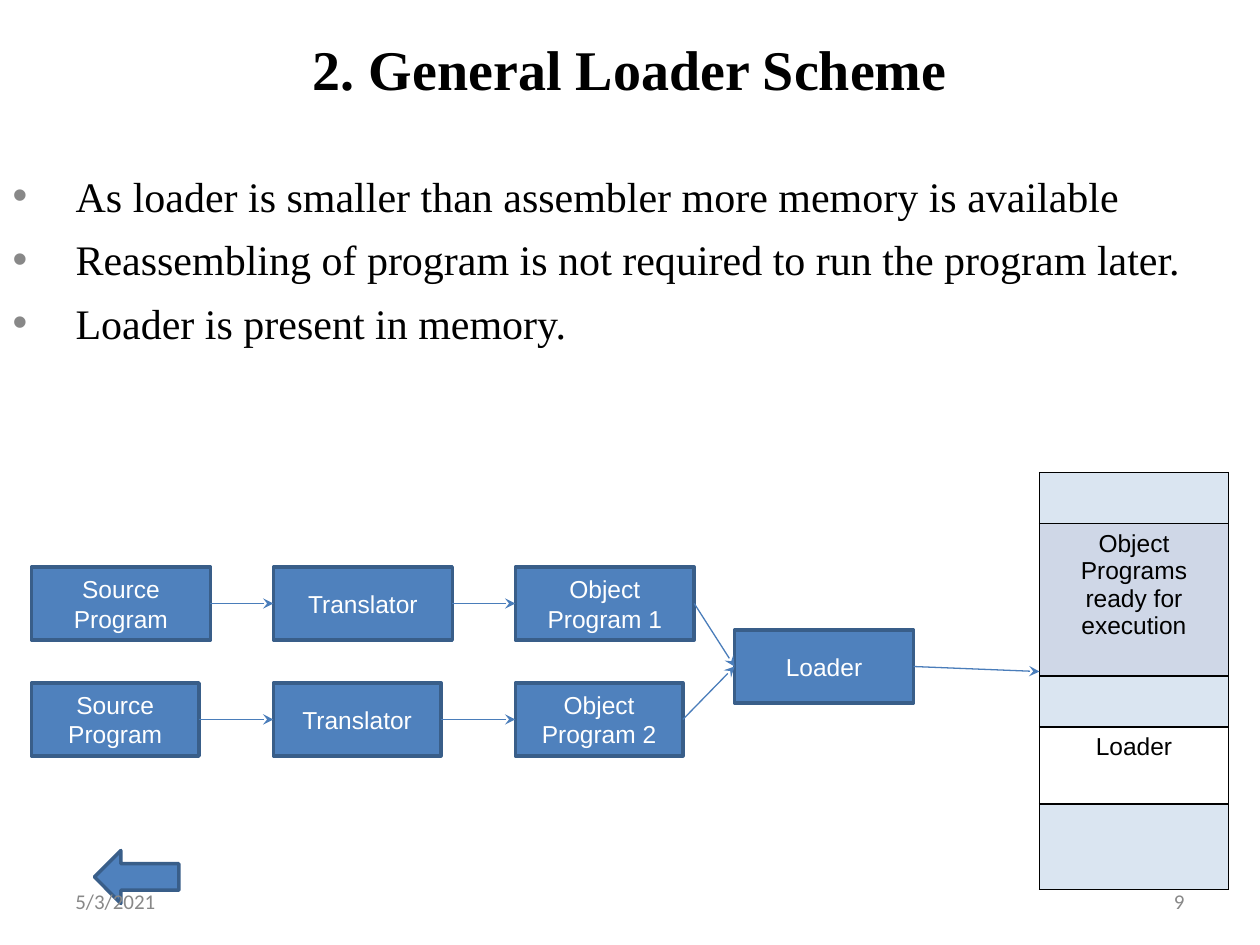
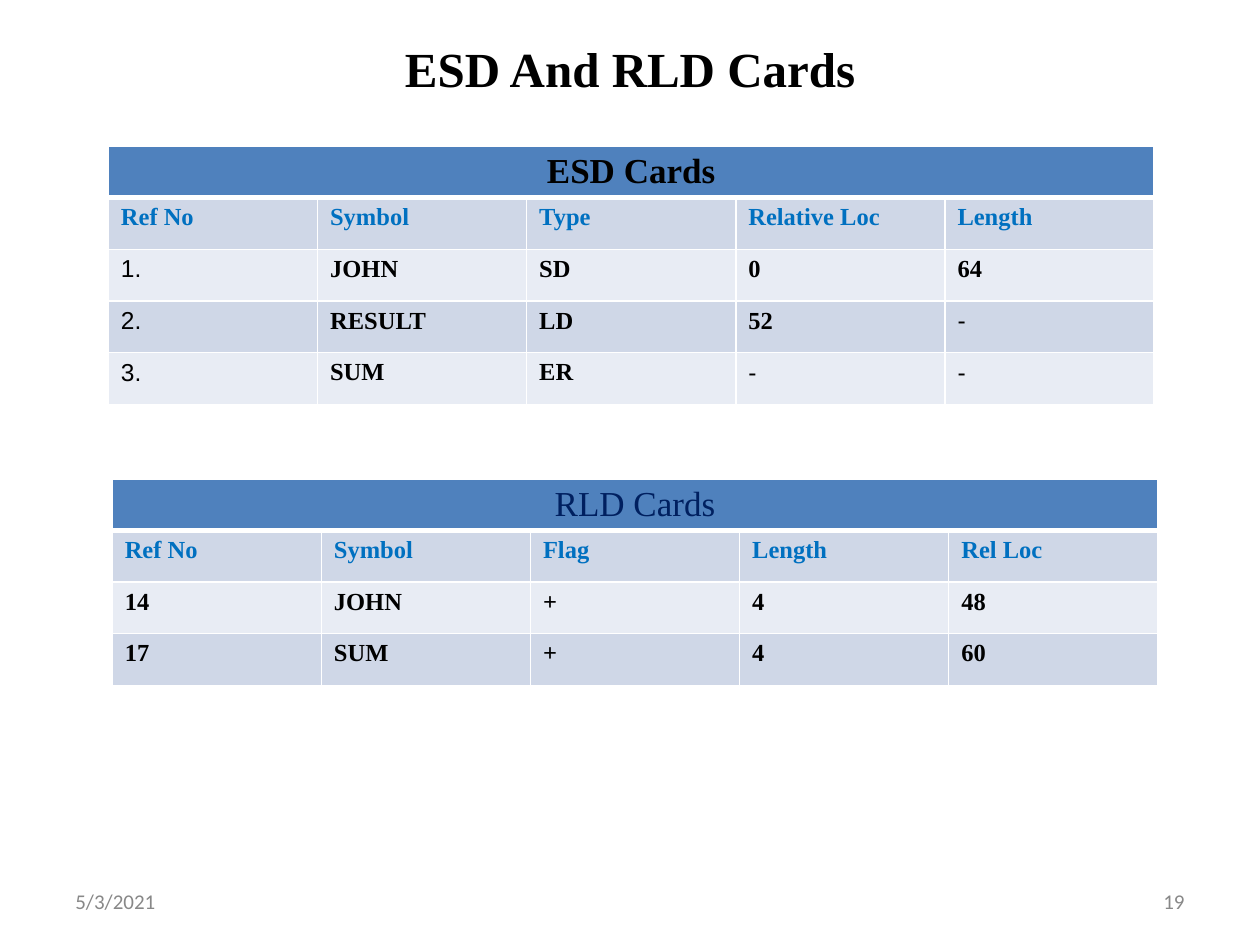
from dataclasses import dataclass
from lxml import etree
from pptx import Presentation
from pptx import util as u
from pptx.dml.color import RGBColor
from pptx.enum import shapes, text
from pptx.oxml import ns

MID = text.MSO_ANCHOR.MIDDLE
LEFT, MIDDLE, RIGHT = text.PP_ALIGN.LEFT, text.PP_ALIGN.CENTER, text.PP_ALIGN.RIGHT


@dataclass
class Theme:
    serif: str = "Times New Roman"
    sans: str = "Arial"
    small: str = "Calibri"
    black: str = "000000"
    white: str = "FFFFFF"
    blue: str = "4F81BD"
    edge: str = "395E89"
    wire: str = "4A7DBA"
    grey: str = "888888"
    label: str = "0070C0"
    navy: str = "002060"
    sky: str = "DAE5F1"
    band: str = "CFD7E7"
    pale: str = "E8ECF4"
    list_size: int = 24
    head_size: int = 20
    text_size: int = 14
    foot_size: int = 12


def add(parent, tag, **attrs):
    return etree.SubElement(parent, ns.qn(tag), attrs)


def place(shape, left, top, width, height):
    shape.left, shape.top = u.Inches(left), u.Inches(top)
    shape.width, shape.height = u.Inches(width), u.Inches(height)


class Deck:
    def __init__(self, theme):
        self.theme = theme
        self.prs = Presentation()
        self.prs.slide_width, self.prs.slide_height = u.Inches(10), u.Inches(7.5)
        self.slide = None

    def style(self, para, size, face, color, bold=False, align=LEFT):
        para.alignment = align
        font = para.font
        font.size, font.name, font.bold = u.Pt(size), face, bold
        font.color.rgb = RGBColor.from_string(color)

    def start(self, title, size, items=()):
        t = self.theme
        self.slide = self.prs.slides.add_slide(self.prs.slide_layouts[0])
        head, body = self.slide.placeholders
        place(head, 0.75, 0.25, 8.5, 0.58)
        head.text_frame.text = title
        head.text_frame.vertical_anchor = MID
        self.style(head.text_frame.paragraphs[0], size, t.serif, t.black, True, MIDDLE)
        if items:
            self.bullets(body, items)
        else:
            body.element.getparent().remove(body.element)

    def bullets(self, body, items):
        t = self.theme
        place(body, 0, 1.3, 10, 2)
        frame = body.text_frame
        frame.auto_size = text.MSO_AUTO_SIZE.NONE
        frame.text = "\n".join(items)
        for i, para in enumerate(frame.paragraphs):
            para.space_before = u.Pt(7.5 if i else 0)
            props = para._p.get_or_add_pPr()
            props.set("marL", str(u.Inches(0.5)))
            props.set("indent", str(u.Inches(-0.5)))
            add(add(props, "a:buClr"), "a:srgbClr", val=t.grey)
            add(props, "a:buFont", typeface=t.sans)
            add(props, "a:buChar", char="•")
            self.style(para, t.list_size, t.serif, t.black)

    def shape(self, kind, left, top, width, height, label=""):
        t = self.theme
        shape = self.slide.shapes.add_shape(
            kind, *map(u.Inches, (left, top, width, height)))
        shape.shadow.inherit = False
        shape.fill.solid()
        shape.fill.fore_color.rgb = RGBColor.from_string(t.blue)
        shape.line.color.rgb = RGBColor.from_string(t.edge)
        shape.line.width = u.Pt(2)
        if label:
            frame = shape.text_frame
            frame.text, frame.vertical_anchor = label, MID
            self.style(frame.paragraphs[0], t.text_size, t.sans, t.white, align=MIDDLE)
        return shape

    def box(self, label, left, top, width):
        return self.shape(shapes.MSO_SHAPE.RECTANGLE, left, top, width, 0.58, label)

    def wire(self, source, target=None, end=(0, 0)):
        line = self.slide.shapes.add_connector(
            shapes.MSO_CONNECTOR.STRAIGHT, 0, 0, *map(u.Inches, end))
        line.begin_connect(source, 3)
        if target is not None:
            line.end_connect(target, 1)
        line.line.color.rgb = RGBColor.from_string(self.theme.wire)
        line.line.width = u.Pt(0.75)
        add(line.line._get_or_add_ln(), "a:tailEnd", type="stealth")
        add(line._element.spPr, "a:effectLst")

    def grid(self, left, top, widths, heights):
        table = self.slide.shapes.add_table(
            len(heights), len(widths), u.Inches(left), u.Inches(top),
            u.Inches(sum(widths)), u.Inches(sum(heights))).table
        table.first_row = table.horz_banding = False
        for col, width in zip(table.columns, widths):
            col.width = u.Inches(width)
        for row, height in zip(table.rows, heights):
            row.height = u.Inches(height)
        return table

    def cell(self, cell, fill, edge, top=1, base=1):
        props = cell._tc.get_or_add_tcPr()
        for side, width in zip("LRTB", (1, 1, top, base)):
            line = add(props, f"a:ln{side}", w=str(u.Pt(width)))
            add(add(line, "a:solidFill"), "a:srgbClr", val=edge)
        cell.fill.solid()
        cell.fill.fore_color.rgb = RGBColor.from_string(fill)

    def entry(self, cell, label, *look, **more):
        cell.text_frame.text = label
        self.style(cell.text_frame.paragraphs[0], *look, **more)

    def stack(self, left, top, width, parts):
        t = self.theme
        table = self.grid(left, top, [width], [part[1] for part in parts])
        for i, (label, _, fill) in enumerate(parts):
            cell = table.cell(i, 0)
            self.cell(cell, fill, t.black)
            if label:
                self.entry(cell, label, t.text_size, t.sans, t.black, align=MIDDLE)

    def cards(self, left, top, title, color, bold, rows, plain=()):
        t = self.theme
        count = len(rows[0])
        table = self.grid(left, top, [1.66] * count, [0.41] * (len(rows) + 1))
        for j in range(count):
            self.cell(table.cell(0, j), t.blue, t.white, base=3)
        table.cell(0, 0).merge(table.cell(0, count - 1))
        self.entry(table.cell(0, 0), title, t.head_size, t.serif, color, bold, MIDDLE)
        for i, row in enumerate(rows, 1):
            for j, label in enumerate(row):
                cell = table.cell(i, j)
                self.cell(cell, t.band if i % 2 else t.pale, t.white, 3 if i == 1 else 1)
                light = label in plain
                self.entry(cell, label, t.text_size, t.sans if light else t.serif,
                           t.label if i == 1 else t.black, not light)

    def footer(self, date, number):
        t = self.theme
        for left, label, align in ((0.5, date, LEFT), (7.17, number, RIGHT)):
            area = map(u.Inches, (left, 6.95, 2.33, 0.4))
            frame = self.slide.shapes.add_textbox(*area).text_frame
            frame.word_wrap, frame.vertical_anchor = True, MID
            frame.text = label
            self.style(frame.paragraphs[0], t.foot_size, t.small, t.grey, align=align)


def scheme(deck, date):
    t = deck.theme
    deck.start("2. General Loader Scheme", 32, (
        "As loader is smaller than assembler more memory is available",
        "Reassembling of program is not required to run the program later.",
        "Loader is present in memory."))
    deck.stack(8.25, 3.75, 1.5, (
        ("", 0.38, t.sky),
        ("Object Programs ready for execution", 1.21, t.band),
        ("", 0.38, t.sky),
        ("Loader", 0.61, t.white),
        ("", 0.68, t.sky)))
    loader = deck.box("Loader", 5.83, 5, 1.42)
    for num, top, width in ((1, 4.5, 1.42), (2, 5.42, 1.33)):
        labels = ("Source Program", "Translator", f"Object Program {num}")
        chain = [deck.box(label, 0.25 + 1.92 * i, top, width)
                 for i, label in enumerate(labels)]
        chain.append(loader)
        for source, target in zip(chain, chain[1:]):
            deck.wire(source, target)
    deck.wire(loader, end=(8.25, 5.33))
    deck.shape(shapes.MSO_SHAPE.LEFT_ARROW, 0.75, 6.75, 0.67, 0.42)
    deck.footer(date, "9")


def records(deck, date):
    t = deck.theme
    deck.start("ESD And RLD Cards", 28)
    deck.cards(0.86, 1.16, "ESD Cards", t.black, True, (
        ("Ref No", "Symbol", "Type", "Relative Loc", "Length"),
        ("1.", "JOHN", "SD", "0", "64"),
        ("2.", "RESULT", "LD", "52", "-"),
        ("3.", "SUM", "ER", "-", "-")), ("1.", "2.", "3.", "-"))
    deck.cards(0.89, 3.8, "RLD Cards", t.navy, False, (
        ("Ref No", "Symbol", "Flag", "Length", "Rel Loc"),
        ("14", "JOHN", "+", "4", "48"),
        ("17", "SUM", "+", "4", "60")))
    deck.footer(date, "19")


def main():
    deck = Deck(Theme())
    date = "5/3/2021"
    scheme(deck, date)
    records(deck, date)
    deck.prs.save("out.pptx")


if __name__ == "__main__":
    main()
